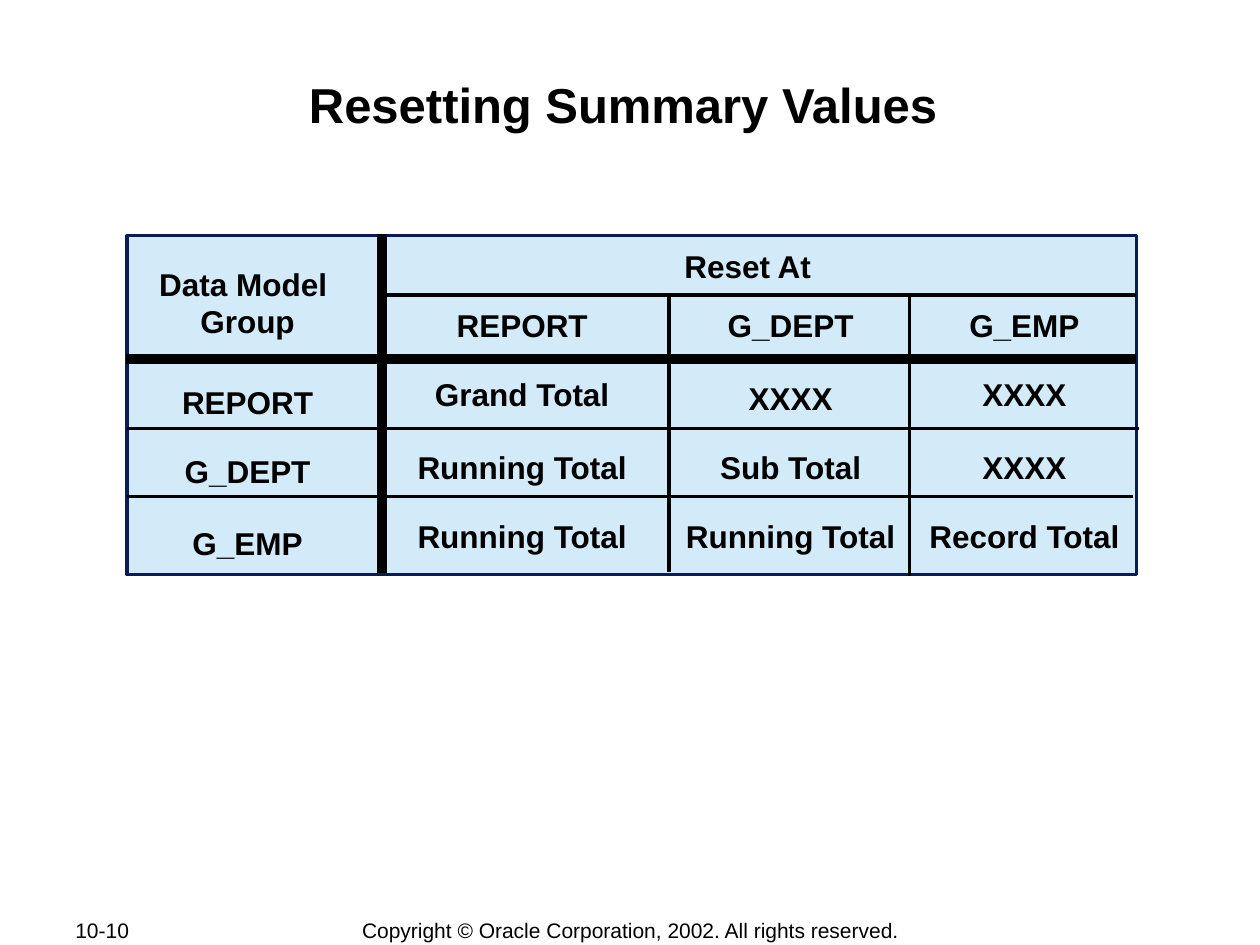
from lxml.etree import SubElement
from pptx import Presentation
from pptx.dml.color import RGBColor
from pptx.enum.shapes import MSO_CONNECTOR as Connector, MSO_SHAPE as Shape
from pptx.enum.text import MSO_ANCHOR as Anchor, PP_ALIGN as Align
from pptx.oxml.ns import qn
from pptx.util import Inches, Pt

COLORS = {"text": "000000", "cell": "D3EAF8", "frame": "081D58", "rule": "000000"}
FONT = "Arial"
COLUMNS = [
    (-0.04, 0.18, 1.99, 2.46,
     [("Data Model \vGroup", 1), ("REPORT", 1.5), ("G_DEPT", 1.2), ("G_EMP", 1.3)]),
    (1.95, 0.51, 2.37, 2.05,
     [("REPORT", 1), ("Grand Total", 1.2), ("Running Total", 1.3), ("Running Total", 1.2)]),
    (4.31, 0.51, 1.91, 2.05,
     [("G_DEPT", 1), ("XXXX", 1.3), ("Sub Total", 1.2), ("Running Total", 1.2)]),
    (6.16, 0.51, 1.92, 2.05,
     [("G_EMP", 1), ("XXXX", 1.2), ("XXXX", 1.3), ("Record Total", 1.2)]),
]
RULES = [
    (2.03, 0.47, 8.01, 0.47, 2),
    (0, 1.53, 8.03, 1.53, 2),
    (0, 2.07, 7.98, 2.07, 2),
    (-0.01, 0.98, 8.01, 0.98, 6),
    (6.21, 0.47, 6.21, 2.7, 2),
    (2.02, -0.01, 2.02, 2.68, 6),
    (4.3, 0.47, 4.3, 2.67, 2),
]


def color(name):
    """Return the named colour."""
    return RGBColor.from_string(COLORS[name])


def style_text(text_frame, size, bold, align):
    """Format every paragraph of a text frame."""
    for paragraph in text_frame.paragraphs:
        paragraph.alignment = align
        font = paragraph.font
        font.name, font.size, font.bold = FONT, Pt(size), bold
        font.color.rgb = color("text")


def add_title(slide, left, top, width, height):
    """Place and format the title."""
    title = slide.shapes.title
    title.left, title.top = Inches(left), Inches(top)
    title.width, title.height = Inches(width), Inches(height)
    frame = title.text_frame
    frame.text = "Resetting Summary Values"
    frame.vertical_anchor = Anchor.TOP
    frame.margin_left = frame.margin_top = frame.margin_bottom = Inches(0.01)
    frame.margin_right = Inches(0.12)
    style_text(frame, 28, True, Align.CENTER)


def add_text(slide, lines, left, top, width, height):
    """Add a centred bold text box from (text, line spacing) pairs."""
    box = slide.shapes.add_textbox(Inches(left), Inches(top), Inches(width), Inches(height))
    frame = box.text_frame
    frame.word_wrap = True
    for index, (text, spacing) in enumerate(lines):
        paragraph = frame.add_paragraph() if index else frame.paragraphs[0]
        paragraph.text = text
        paragraph.line_spacing = float(spacing)
        if index:
            paragraph.space_before = Pt(13.5)
    style_text(frame, 18, True, Align.CENTER)
    return frame


def add_rule(slide, start_x, start_y, end_x, end_y, width):
    """Add one straight rule of the grid."""
    line = slide.shapes.add_connector(
        Connector.STRAIGHT, Inches(start_x), Inches(start_y), Inches(end_x), Inches(end_y))
    line.line.color.rgb = color("rule")
    line.line.width = Pt(width)
    SubElement(line._element.spPr, qn("a:effectLst"))


def add_reset_grid(slide, left, top, width, height):
    """Draw the grid of totals by data model group and reset level."""
    panel = slide.shapes.add_shape(
        Shape.RECTANGLE, Inches(left), Inches(top), Inches(width), Inches(height))
    panel.shadow.inherit = False
    panel.fill.solid()
    panel.fill.fore_color.rgb = color("cell")
    panel.line.color.rgb = color("frame")
    panel.line.width = Pt(2)
    for x, y, column_width, column_height, lines in COLUMNS:
        add_text(slide, lines, left + x, top + y, column_width, column_height)
    heading = add_text(slide, [("Reset At", 1)], left + 2.04, top + 0.04, 5.91, 0.4)
    heading.margin_right = Inches(0.24)
    for start_x, start_y, end_x, end_y, weight in RULES:
        add_rule(slide, left + start_x, top + start_y, left + end_x, top + end_y, weight)


def add_footer_text(slide, text, left, top, width, height, align):
    """Add one unwrapped line of footer text."""
    box = slide.shapes.add_textbox(Inches(left), Inches(top), Inches(width), Inches(height))
    frame = box.text_frame
    frame.text = text
    frame.word_wrap = False
    frame.vertical_anchor = Anchor.MIDDLE
    style_text(frame, 12, False, align)


def main():
    """Build and save the slide."""
    presentation = Presentation()
    presentation.slide_width, presentation.slide_height = Inches(10), Inches(7.5)
    slide = presentation.slides.add_slide(presentation.slide_layouts[5])
    add_title(slide, 1, 0.58, 8, 0.96)
    add_reset_grid(slide, 1.01, 1.87, 8.01, 2.69)
    add_footer_text(slide, "10-10", 0.5, 7.28, 1.06, 0.2, Align.JUSTIFY)
    add_footer_text(slide, "Copyright © Oracle Corporation, 2002. All rights reserved.",
                    2.76, 7.28, 4.49, 0.21, Align.CENTER)
    presentation.save("out.pptx")


if __name__ == "__main__":
    main()
